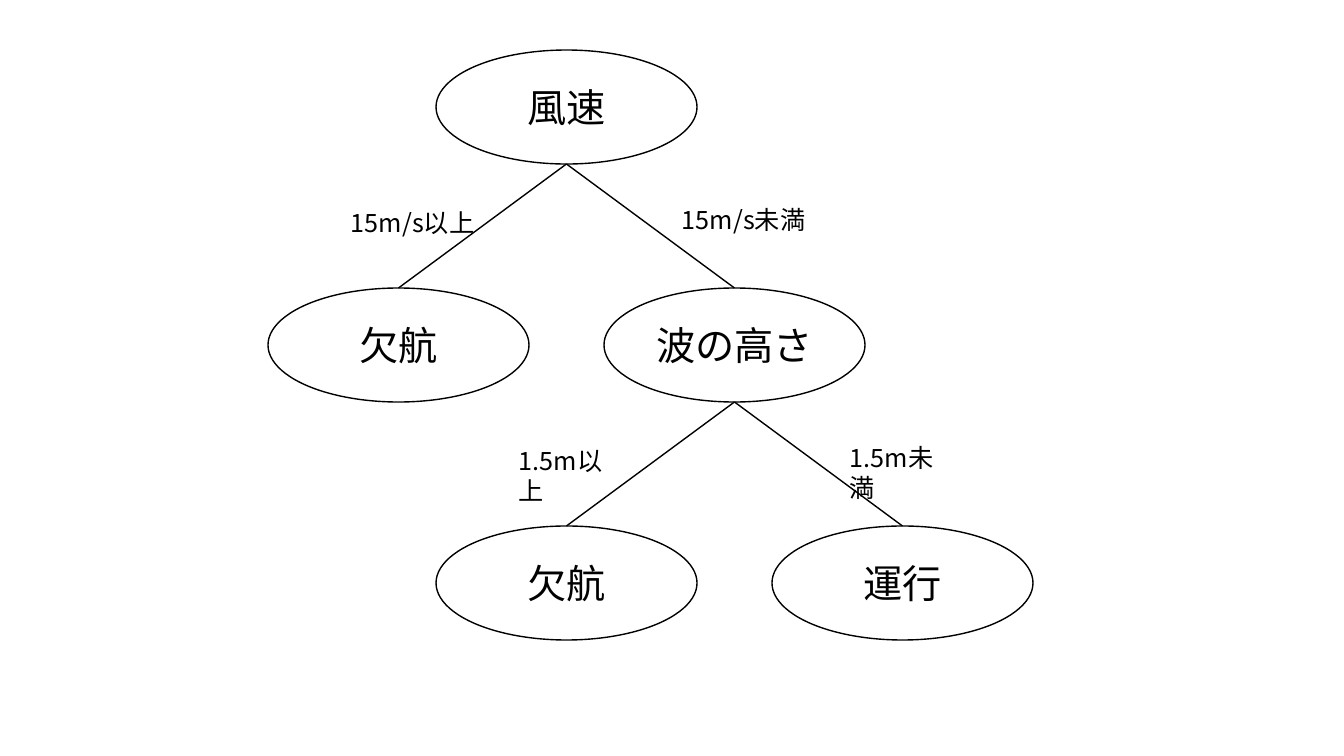
from lxml import etree
from pptx import Presentation
from pptx.dml.color import RGBColor
from pptx.enum.shapes import MSO_CONNECTOR, MSO_SHAPE
from pptx.enum.text import MSO_ANCHOR, PP_ALIGN
from pptx.oxml.ns import qn
from pptx.util import Emu, Pt

LINE = MSO_CONNECTOR.STRAIGHT
ELLIPSE = MSO_SHAPE.OVAL
MIDDLE, TOP = MSO_ANCHOR.MIDDLE, MSO_ANCHOR.TOP
CENTER, LEFT = PP_ALIGN.CENTER, PP_ALIGN.LEFT
BLACK = RGBColor(0x00, 0x00, 0x00)
FONT = "Noto Sans CJK JP"

SCALE = 914400 / 100.8
NODE_W, NODE_H = 261, 114
STEP_X, STEP_Y = 168, 238
# Offset from the parent node of the labels on its left and right branches
LABEL_OFFSETS = ((-95, 152), (236, 149))

# A node is (name, branches); a branch is (condition, label width, child node)
DECISION_TREE = ("風速", [
    ("15m/s以上", 144, ("欠航", [])),
    ("15m/s未満", 144, ("波の高さ", [
        ("1.5m以上", 128, ("欠航", [])),
        ("1.5m未満", 128, ("運行", [])),
    ])),
])


def px(*lengths):
    """Turn pixel lengths into EMU."""
    return [Emu(round(length * SCALE)) for length in lengths]


def write(frame, text, size, align=LEFT, anchor=TOP):
    """Put one formatted paragraph into a text frame."""
    frame.word_wrap = True
    frame.vertical_anchor = anchor
    paragraph = frame.paragraphs[0]
    paragraph.alignment = align
    run = paragraph.add_run()
    run.text = text
    run.font.size = Pt(size)
    run.font.name = FONT
    run.font.color.rgb = BLACK
    etree.SubElement(run.font._element, qn("a:ea"), typeface=FONT)


def draw_node(slide, name, left, top):
    """Draw one outlined ellipse with its name."""
    node = slide.shapes.add_shape(ELLIPSE, *px(left, top, NODE_W, NODE_H))
    node.shadow.inherit = False
    node.fill.background()
    node.line.color.rgb = BLACK
    node.line.width = Pt(1)
    write(node.text_frame, name, 28, align=CENTER, anchor=MIDDLE)
    return node


def draw_branch(slide, parent, child):
    """Join the bottom of the parent to the top of the child."""
    branch = slide.shapes.add_connector(
        LINE,
        parent.left + parent.width // 2, parent.top + parent.height,
        child.left + child.width // 2, child.top)
    branch.line.color.rgb = BLACK
    branch.line.width = Pt(1)
    etree.SubElement(branch._element.spPr, qn("a:effectLst"))


def draw_tree(slide, tree, left, top):
    """Draw a node at the given corner with all its branches below it."""
    name, branches = tree
    node = draw_node(slide, name, left, top)
    for side, (condition, width, subtree) in enumerate(branches):
        child_left = left + (2 * side - 1) * STEP_X
        child = draw_tree(slide, subtree, child_left, top + STEP_Y)
        draw_branch(slide, node, child)
        dx, dy = LABEL_OFFSETS[side]
        label = slide.shapes.add_textbox(*px(left + dx, top + dy, width, 40))
        write(label.text_frame, condition, 18)
    return node


presentation = Presentation()
presentation.slide_width, presentation.slide_height = px(1344, 756)
decision_slide = presentation.slides.add_slide(presentation.slide_layouts[6])
draw_tree(decision_slide, DECISION_TREE, 436, 50)
presentation.save("out.pptx")
